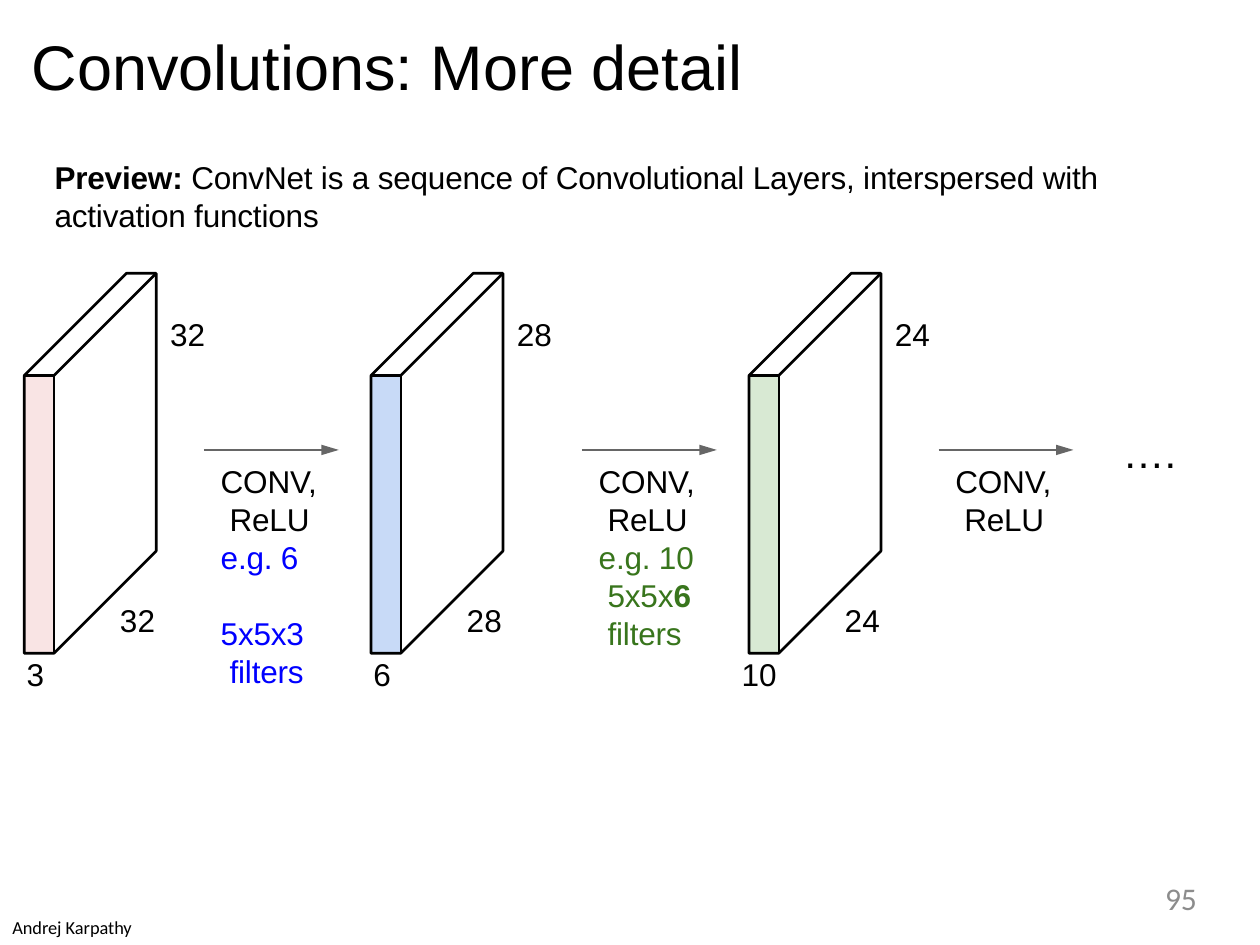
from dataclasses import dataclass

import pptx
import pptx.dml.color
import pptx.enum.shapes
import pptx.enum.text
import pptx.oxml
import pptx.oxml.ns
import pptx.util
from pptx.util import Cm, Pt

BLACK, GREY, BLUE, GREEN = "000000", "666666", "0000FF", "38751C"
ALIGN = pptx.enum.text.PP_ALIGN

TOP, DEPTH, SKEW, HEIGHT = 5.51, 0.6, 2.06, 5.6
ARROW_Y, ARROW_LENGTH = 9.07, 2.72
INSET = 0.2


@dataclass
class Line:
    pieces: list[str]  # every second piece is bold
    color: str = BLACK
    indent: float = 0.02
    before: float = 0


@dataclass
class Layer:
    left: float
    size: str
    channels: str
    channels_dx: float
    color: str
    alpha: int = 100


@dataclass
class Step:
    left: float
    filters: list[Line]


LAYERS = [
    Layer(0.49, "32", "3", 0.05, "F4CCCC", 52),
    Layer(7.48, "28", "6", 0.05, "C8DAF7"),
    Layer(15.1, "24", "10", -0.15, "D8E9D3"),
]
CONV = [Line(["CONV,"]), Line(["ReLU"], indent=INSET)]
STEPS = [
    Step(4.11, [Line(["e.g. 6"], BLUE), Line(["5x5x3"], BLUE, before=21.7),
                Line(["filters"], BLUE, INSET)]),
    Step(11.73, [Line(["e.g. 10"], GREEN), Line(["5x5x", "6"], GREEN, INSET),
                 Line(["filters"], GREEN, INSET)]),
    Step(18.92, []),
]


def rgb(color: str):
    return pptx.dml.color.RGBColor.from_string(color)


def add_xml(parent, tag: str, **attributes: str) -> None:
    element = pptx.oxml.parse_xml(f"<a:{tag} {pptx.oxml.ns.nsdecls('a')}/>")
    for name, value in attributes.items():
        element.set(name, value)
    parent.append(element)


def format_run(r, size: float, color: str = BLACK, font: str = "Arial", bold: bool = False) -> None:
    r.font.name, r.font.size, r.font.bold = font, Pt(size), bold
    r.font.color.rgb = rgb(color)


def place(sp, left: float, top: float, width: float, height: float) -> None:
    sp.left, sp.top, sp.width, sp.height = Cm(left), Cm(top), Cm(width), Cm(height)


def clear_frame(tf, wrap: bool) -> None:
    """Remove the margins and the automatic sizing of a text frame."""
    tf.margin_left = tf.margin_right = tf.margin_top = tf.margin_bottom = 0
    tf.word_wrap = wrap
    tf.auto_size = pptx.enum.text.MSO_AUTO_SIZE.NONE
    tf.vertical_anchor = pptx.enum.text.MSO_ANCHOR.TOP


def add_box(slide, left: float, top: float, width: float, height: float, wrap: bool = False):
    tf = slide.shapes.add_textbox(Cm(left), Cm(top), Cm(width), Cm(height)).text_frame
    clear_frame(tf, wrap)
    return tf


def add_label(slide, text: str, left: float, top: float, width: float = 0.8, height: float = 0.79,
              size: float = 18, color: str = BLACK, font: str = "Arial", align=ALIGN.LEFT) -> None:
    tf = add_box(slide, left, top, width, height, wrap=align == ALIGN.RIGHT)
    tf.text = text
    tf.paragraphs[0].alignment = align
    format_run(tf.paragraphs[0].runs[0], size, color, font)


def add_lines(tf, lines: list[Line]) -> None:
    for i, line in enumerate(lines):
        p = tf.add_paragraph() if i else tf.paragraphs[0]
        pPr = p._p.get_or_add_pPr()
        pPr.set("marL", str(Cm(line.indent)))
        pPr.set("indent", "0")
        p.line_spacing, p.space_before = 1.01, Pt(line.before)
        add_xml(pPr, "buNone")
        for j, piece in enumerate(line.pieces):
            if piece:
                r = p.add_run()
                r.text = piece
                format_run(r, 18, line.color, bold=j % 2 == 1)
                r._r.get_or_add_rPr().set("spc", "-10")


def add_straight(slide, x1: float, y1: float, x2: float, y2: float, color: str, width: float):
    cx = slide.shapes.add_connector(pptx.enum.shapes.MSO_CONNECTOR.STRAIGHT,
                                    Cm(x1), Cm(y1), Cm(x2), Cm(y2))
    cx.line.color.rgb, cx.line.width = rgb(color), Pt(width)
    add_xml(cx._element.spPr, "effectLst")
    return cx


def add_outline(slide, points: list[tuple[float, float]], close: bool) -> None:
    (x, y), *rest = [(Cm(px), Cm(py)) for px, py in points]
    builder = slide.shapes.build_freeform(x, y)
    builder.add_line_segments(rest, close=close)
    sp = builder.convert_to_shape()
    sp.shadow.inherit = False
    sp.fill.background()
    sp.line.color.rgb, sp.line.width = rgb(BLACK), Pt(1.5)


def add_layer(slide, layer: Layer) -> None:
    """Draw a slab with a coloured front face and its three dimensions."""
    left, edge, right = layer.left, layer.left + DEPTH, layer.left + DEPTH + SKEW
    front, bottom = TOP + SKEW, TOP + SKEW + HEIGHT
    sp = slide.shapes.add_shape(pptx.enum.shapes.MSO_SHAPE.RECTANGLE,
                                Cm(left), Cm(front), Cm(DEPTH), Cm(HEIGHT))
    sp.shadow.inherit = False
    sp.fill.solid()
    sp.fill.fore_color.rgb = rgb(layer.color)
    sp.line.fill.background()
    if layer.alpha < 100:
        fill = sp._element.spPr.find(pptx.oxml.ns.qn("a:solidFill"))
        add_xml(fill[0], "alpha", val=str(layer.alpha * 1000))

    add_outline(slide, [(left, front), (left + SKEW, TOP), (right, TOP),
                        (right, TOP + HEIGHT), (edge, bottom), (left, bottom)], True)
    add_outline(slide, [(left, front), (edge, front), (right, TOP)], False)
    add_straight(slide, edge, front, edge, bottom, BLACK, 1.5)
    add_label(slide, layer.size, left + 1.93, 12.12)
    add_label(slide, layer.size, left + 2.94, 6.35)
    add_label(slide, layer.channels, left + layer.channels_dx, 13.21, 0.4 * len(layer.channels))


def add_step(slide, step: Step) -> None:
    """Draw an arrow with the operation written below it."""
    arrow = add_straight(slide, step.left, ARROW_Y, step.left + ARROW_LENGTH, ARROW_Y, GREY, 0.75)
    add_xml(arrow.line._get_or_add_ln(), "tailEnd", type="triangle", w="med", len="lg")
    lines = CONV + step.filters
    add_lines(add_box(slide, step.left + 0.32, 9.3, 2.2, 0.77 * len(lines)), lines)


def main() -> None:
    prs = pptx.Presentation()
    prs.slide_width, prs.slide_height = Cm(25.4), Cm(19.05)
    slide = prs.slides.add_slide(prs.slide_layouts[1])

    title, body = slide.placeholders
    place(title, 0.64, 0.56, 24.15, 1.55)
    clear_frame(title.text_frame, True)
    title.text_frame.text = "Convolutions: More detail"
    p = title.text_frame.paragraphs[0]
    p.alignment = ALIGN.LEFT
    format_run(p.runs[0], 36)

    place(body, 0.64, 3.18, 24.15, 1.6)
    clear_frame(body.text_frame, True)
    preview = ["", "Preview: ", "ConvNet is a sequence of Convolutional Layers, "
               "interspersed with activation functions"]
    add_lines(body.text_frame, [Line(preview, indent=0.46)])

    for layer in LAYERS:
        add_layer(slide, layer)
    for step in STEPS:
        add_step(slide, step)

    add_label(slide, "….", 22.63, 8.59, 1.14, 1.04, 24)
    add_label(slide, "Andrej Karpathy", 0.25, 18.47, 2.46, 0.45, 10.5, font="Calibri")
    add_label(slide, "95", 18.29, 17.73, 5.84, 0.76, 18, "8C8C8C", "Calibri", ALIGN.RIGHT)
    prs.save("out.pptx")


if __name__ == "__main__":
    main()
